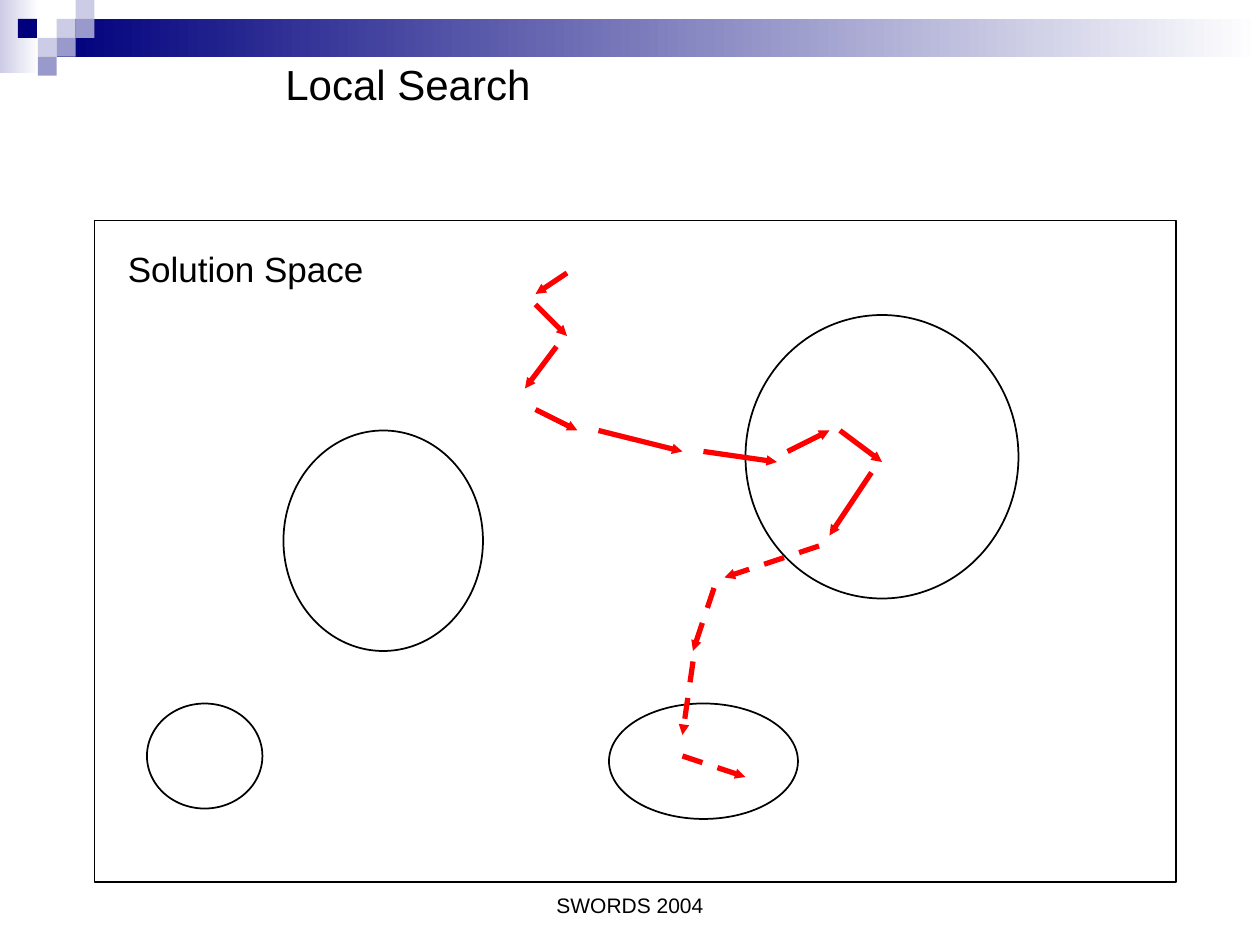
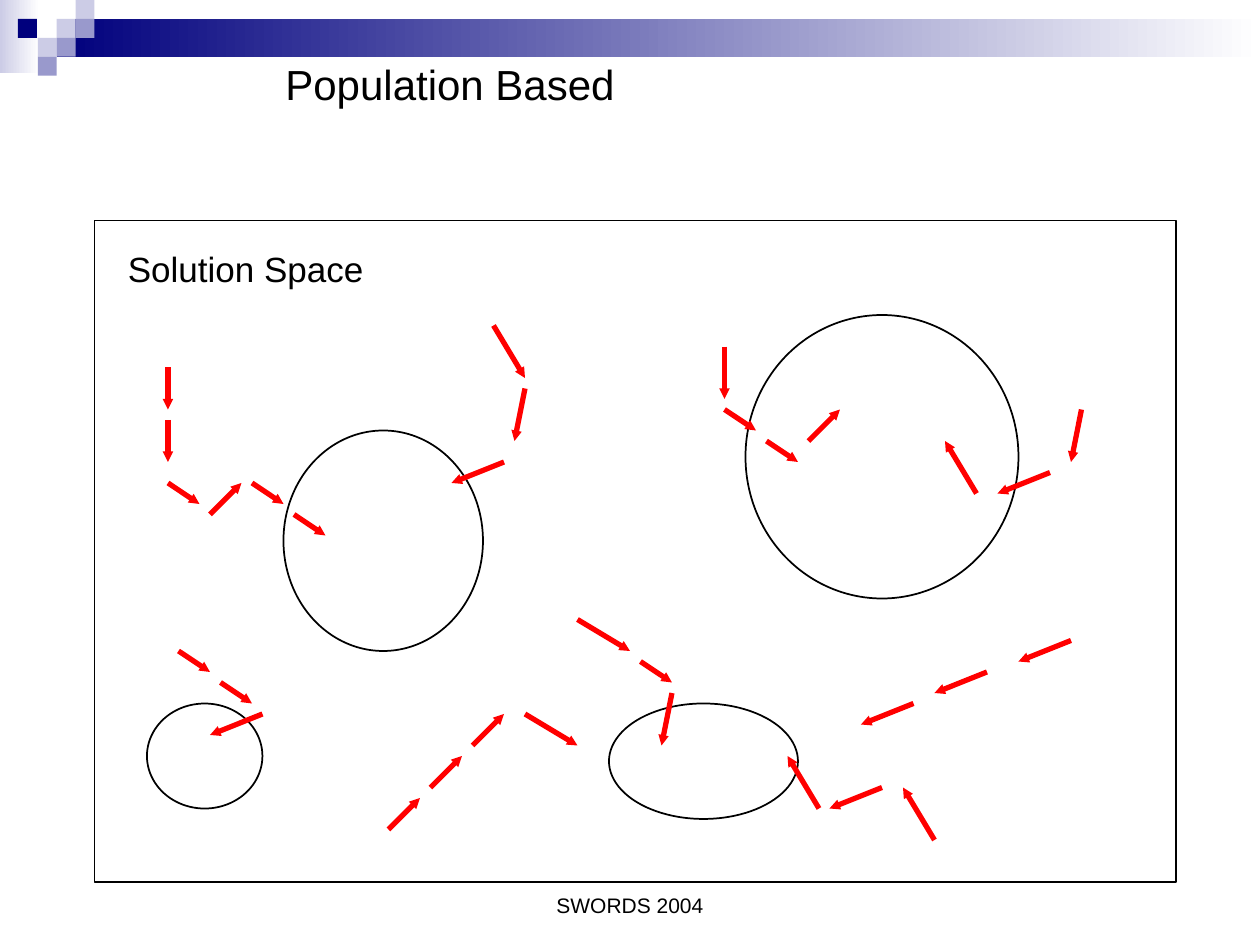
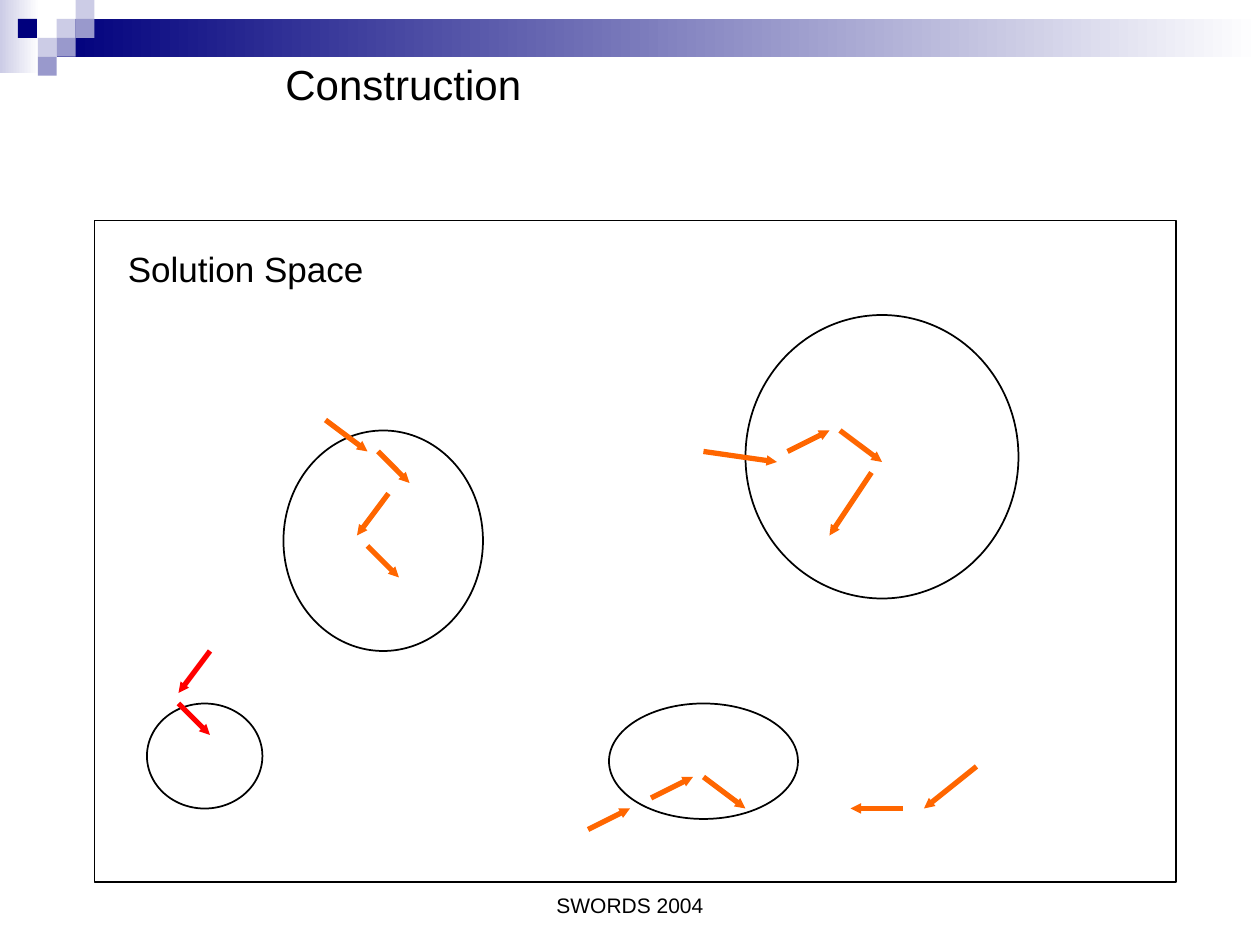
"""Three slides on how search methods move through a solution space."""
from lxml import etree
from pptx import Presentation
from pptx import util as u
from pptx.dml.color import RGBColor
from pptx.enum import dml, shapes, text
from pptx.oxml.ns import qn

FONT = "Arial"
BLACK, WHITE, RED, ORANGE = "000000", "FFFFFF", "FF0000", "FF6600"
NAVY, LILAC, VIOLET = "00007D", "CCCCE6", "9999CC"
GRID = 6
TILE = 10.8

TILES = [(3, 1, LILAC), (4, 0, LILAC), (4, 1, VIOLET), (2, 2, LILAC),
         (0.95, 1, NAVY), (3, 2, VIOLET), (2, 3, VIOLET)]
BASINS = [(27, 41, 19, 21), (71, 30, 26, 27), (58, 67, 18, 11), (14, 67, 11, 10)]

LARGE_BASIN_CLIMB = [(67, 43, 74, 44), (75, 43, 79, 41), (80, 41, 84, 44), (83, 45, 79, 51)]
DESCENT = [(54, 26, 51, 28), (51, 29, 54, 32), (53, 33, 50, 37),
           (51, 39, 55, 41), (57, 41, 65, 43)]
ESCAPE = [(78, 52, 69, 55), (68, 56, 66, 62), (66, 63, 65, 70), (65, 72, 71, 74)]
POPULATION = [
    [(16, 35, 16, 39), (16, 40, 16, 44), (16, 46, 19, 48),
     (20, 49, 23, 46), (24, 46, 27, 48), (28, 49, 31, 51)],
    [(47, 31, 50, 36), (50, 37, 49, 42), (48, 44, 43, 46)],
    [(69, 33, 69, 38), (69, 39, 72, 41), (73, 42, 76, 44), (77, 42, 80, 39)],
    [(103, 39, 102, 44), (100, 45, 95, 47), (93, 47, 90, 42)],
    [(17, 62, 20, 64), (21, 65, 24, 67), (25, 68, 20, 70)],
    [(37, 79, 40, 76), (41, 75, 44, 72), (45, 71, 48, 68), (50, 68, 55, 71)],
    [(55, 59, 60, 62), (61, 63, 64, 65), (64, 66, 63, 71)],
    [(102, 61, 97, 63), (94, 64, 89, 66), (87, 67, 82, 69)],
    [(89, 80, 86, 75), (84, 75, 79, 77), (78, 77, 75, 72)],
]
CONSTRUCTION = [
    LARGE_BASIN_CLIMB,
    [(56, 79, 60, 77), (62, 76, 66, 74), (67, 74, 71, 77)],
    [(31, 40, 35, 43), (36, 43, 39, 46), (37, 47, 34, 51), (35, 52, 38, 55)],
    [(93, 73, 88, 77), (86, 77, 81, 77)],
]
SMALL_BASIN_ENTRY = [(20, 62, 17, 66), (17, 67, 20, 70)]


def color(value):
    """Turn a hex string into a colour."""
    return RGBColor.from_string(value)


def on_grid(cells):
    """Convert grid cells to points."""
    return [u.Pt(cell * GRID) for cell in cells]


def add_block(slide, box, *fills):
    """Add a borderless rectangle, solid or fading from left to right."""
    block = slide.shapes.add_shape(shapes.MSO_SHAPE.RECTANGLE, *[u.Pt(side) for side in box])
    block.shadow.inherit = False
    block.line.fill.background()
    if len(fills) == 1:
        block.fill.solid()
        block.fill.fore_color.rgb = color(fills[0])
    else:
        block.fill.gradient()
        block.fill.gradient_angle = 0
        for stop, value in zip(block.fill.gradient_stops, fills):
            stop.color.rgb = color(value)


def add_outline(slide, kind, cells):
    """Add an unfilled shape with a thin black edge."""
    outline = slide.shapes.add_shape(kind, *on_grid(cells))
    outline.shadow.inherit = False
    outline.fill.background()
    outline.line.color.rgb = color(BLACK)
    outline.line.width = u.Pt(1)


def add_text(slide, words, cells, size, before=0, align=text.PP_ALIGN.LEFT,
             anchor=text.MSO_ANCHOR.TOP):
    """Add one line of black text in a box."""
    frame = slide.shapes.add_textbox(*on_grid(cells)).text_frame
    frame.word_wrap = True
    frame.vertical_anchor = anchor
    line = frame.paragraphs[0]
    line.alignment = align
    line.space_before = u.Pt(before)
    run = line.add_run()
    run.text = words
    run.font.name = FONT
    run.font.size = u.Pt(size)
    run.font.color.rgb = color(BLACK)


def add_trail(slide, moves, stroke=RED, dashed=False):
    """Add one arrow for each move of a search."""
    for move in moves:
        arrow = slide.shapes.add_connector(shapes.MSO_CONNECTOR.STRAIGHT, *on_grid(move))
        arrow.line.color.rgb = color(stroke)
        arrow.line.width = u.Pt(3)
        if dashed:
            arrow.line.dash_style = dml.MSO_LINE.DASH
        etree.SubElement(arrow.line._get_or_add_ln(), qn("a:tailEnd"),
                         type="triangle", w="sm", len="sm")
        etree.SubElement(arrow._element.spPr, qn("a:effectLst"))


def add_space_slide(deck, title):
    """Add a slide with the band, title, solution space and footer."""
    slide = deck.slides.add_slide(deck.slide_layouts[6])
    add_block(slide, (0, 0, 22.5, 42), LILAC, WHITE)
    add_block(slide, (3 * TILE, TILE, 720 - 3 * TILE, 2 * TILE), NAVY, WHITE)
    for column, row, fill in TILES:
        add_block(slide, (column * TILE, row * TILE, TILE, TILE), fill)
    add_text(slide, title, (26, 5, 57, 6), 24, before=15)
    add_outline(slide, shapes.MSO_SHAPE.RECTANGLE, (9, 21, 103, 63))
    add_text(slide, "Solution Space", (11, 23, 25, 5.25), 20, before=12.5)
    for basin in BASINS:
        add_outline(slide, shapes.MSO_SHAPE.OVAL, basin)
    add_text(slide, "SWORDS 2004", (41, 82, 38, 6), 12,
             align=text.PP_ALIGN.CENTER, anchor=text.MSO_ANCHOR.BOTTOM)
    return slide


def main():
    """Build and save the deck."""
    deck = Presentation()
    deck.slide_width, deck.slide_height = u.Pt(720), u.Pt(540)

    local = add_space_slide(deck, "Local Search")
    add_trail(local, DESCENT + LARGE_BASIN_CLIMB)
    add_trail(local, ESCAPE, dashed=True)

    population = add_space_slide(deck, "Population Based")
    for member in POPULATION:
        add_trail(population, member)

    construction = add_space_slide(deck, "Construction")
    for build in CONSTRUCTION:
        add_trail(construction, build, ORANGE)
    add_trail(construction, SMALL_BASIN_ENTRY)

    deck.save("out.pptx")


if __name__ == "__main__":
    main()
